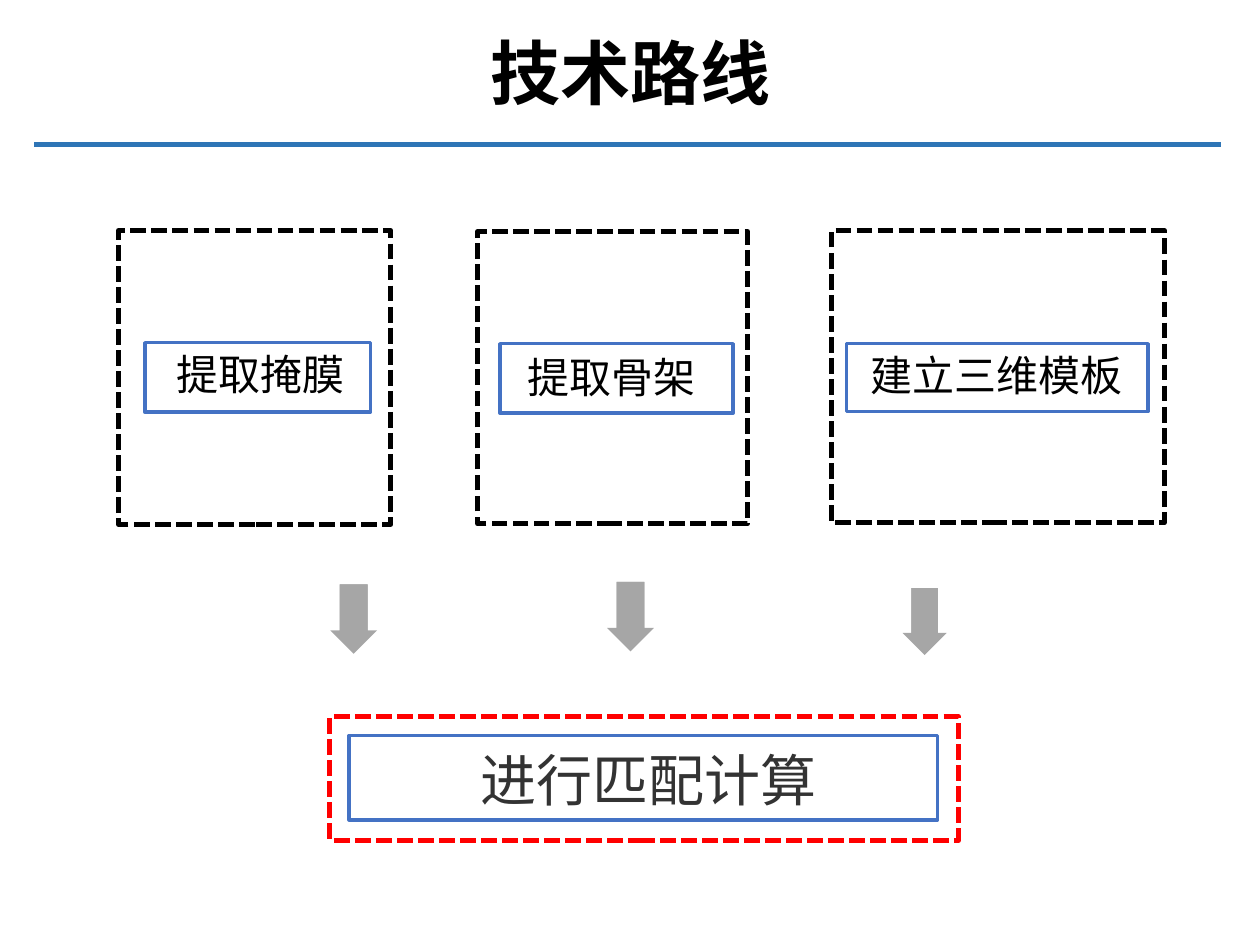
from pptx import Presentation
from pptx.dml.color import RGBColor
from pptx.enum.dml import MSO_LINE
from pptx.enum.lang import MSO_LANGUAGE_ID as Language
from pptx.enum.shapes import MSO_CONNECTOR, MSO_SHAPE
from pptx.enum.text import MSO_AUTO_SIZE as AutoSize, PP_ALIGN as Align
from pptx.oxml.ns import qn
from pptx.util import Cm, Pt
from lxml import etree

BLACK = RGBColor(0x00, 0x00, 0x00)
DARK_GREY = RGBColor(0x33, 0x33, 0x33)
GREY = RGBColor(0xA6, 0xA6, 0xA6)
RED = RGBColor(0xFF, 0x00, 0x00)
BLUE = RGBColor(0x44, 0x72, 0xC4)
RULE_BLUE = RGBColor(0x2E, 0x75, 0xB6)

FONT = "Arial"
SHAFT_LENGTH, SHAFT_WIDTH = 0.7, 0.6  # shares of the arrow's length and width


class RouteSlide:
    """Style and drawing methods for one slide; lengths are centimetres."""

    def __init__(self, slide):
        self.slide = slide

    def rule(self, left, right, y, color):
        line = self.slide.shapes.add_connector(
            MSO_CONNECTOR.STRAIGHT, Cm(left), Cm(y), Cm(right), Cm(y))
        line.line.color.rgb = color
        line.line.width = Pt(3)
        etree.SubElement(line._element.spPr, qn("a:effectLst"))

    def frame(self, place, color, dashed=False):
        frame = self.slide.shapes.add_shape(MSO_SHAPE.RECTANGLE, *map(Cm, place))
        frame.shadow.inherit = False
        frame.fill.background()
        frame.line.color.rgb = color
        frame.line.width = Pt(3 if dashed else 2)
        if dashed:
            frame.line.dash_style = MSO_LINE.SQUARE_DOT

    def text(self, place, words, size, color=BLACK, bold=False,
             align=Align.LEFT, wrap=True, fit=AutoSize.SHAPE_TO_FIT_TEXT):
        frame = self.slide.shapes.add_textbox(*map(Cm, place)).text_frame
        frame.word_wrap = wrap
        frame.auto_size = fit
        paragraph = frame.paragraphs[0]
        paragraph.alignment = align
        run = paragraph.add_run()
        run.text = words
        run.font.name = FONT
        run.font.size = Pt(size)
        run.font.bold = bold
        run.font.color.rgb = color
        run.font.language_id = Language.SIMPLIFIED_CHINESE

    def down_arrow(self, center_x, center_y, length, width):
        group = self.slide.shapes.add_group_shape()
        shaft = length * SHAFT_LENGTH
        shaft_y = center_y - (length - shaft) / 2
        parts = [(MSO_SHAPE.RIGHT_ARROW, center_y, length, width),
                 (MSO_SHAPE.RECTANGLE, shaft_y, shaft, width * SHAFT_WIDTH)]
        for kind, y, long, thick in parts:
            part = group.shapes.add_shape(
                kind, Cm(center_x - long / 2), Cm(y - thick / 2), Cm(long), Cm(thick))
            part.rotation = 90
            part.shadow.inherit = False
            part.fill.solid()
            part.fill.fore_color.rgb = GREY
            part.line.fill.background()
            if kind == MSO_SHAPE.RIGHT_ARROW:
                part.adjustments[0] = SHAFT_WIDTH


def main():
    deck = Presentation()
    deck.slide_width, deck.slide_height = Cm(25.4), Cm(19.05)
    route = RouteSlide(deck.slides.add_slide(deck.slide_layouts[6]))

    # Title and rule
    route.rule(0.69, 24.61, 2.92, RULE_BLUE)
    route.text((2.44, 0.48, 20.55, 2.54), "技术路线", 40, bold=True,
               align=Align.CENTER, fit=AutoSize.NONE)

    # Three steps: dashed frame, inner box, label
    steps = [
        ("提取掩膜", (2.39, 4.65, 5.49, 5.92), (2.92, 6.91, 4.55, 1.4),
         (3.3, 6.91, 3.94, 1.27)),
        ("提取骨架", (9.63, 4.67, 5.44, 5.89), (10.08, 6.93, 4.7, 1.4),
         (10.39, 6.96, 3.94, 1.27)),
        ("建立三维模板", (16.76, 4.65, 6.71, 5.89), (17.07, 6.93, 6.07, 1.37),
         (17.3, 6.93, 5.82, 1.27)),
    ]
    for name, outer, inner, label in steps:
        route.frame(outer, BLACK, dashed=True)
        route.frame(inner, BLUE)
        route.text(label, name, 24, wrap=False)

    # Arrows down to the result
    for arrow in [(7.13, 12.48, 1.4, 0.94), (12.71, 12.43, 1.4, 0.94),
                  (18.64, 12.53, 1.35, 0.89)]:
        route.down_arrow(*arrow)

    # Result
    route.frame((6.65, 14.45, 12.67, 2.49), RED, dashed=True)
    route.frame((7.04, 14.83, 11.86, 1.7), BLUE)
    route.text((3.3, 14.91, 19.56, 2.64), "进行匹配计算", 32, DARK_GREY,
               align=Align.CENTER)

    deck.save("out.pptx")


if __name__ == "__main__":
    main()
